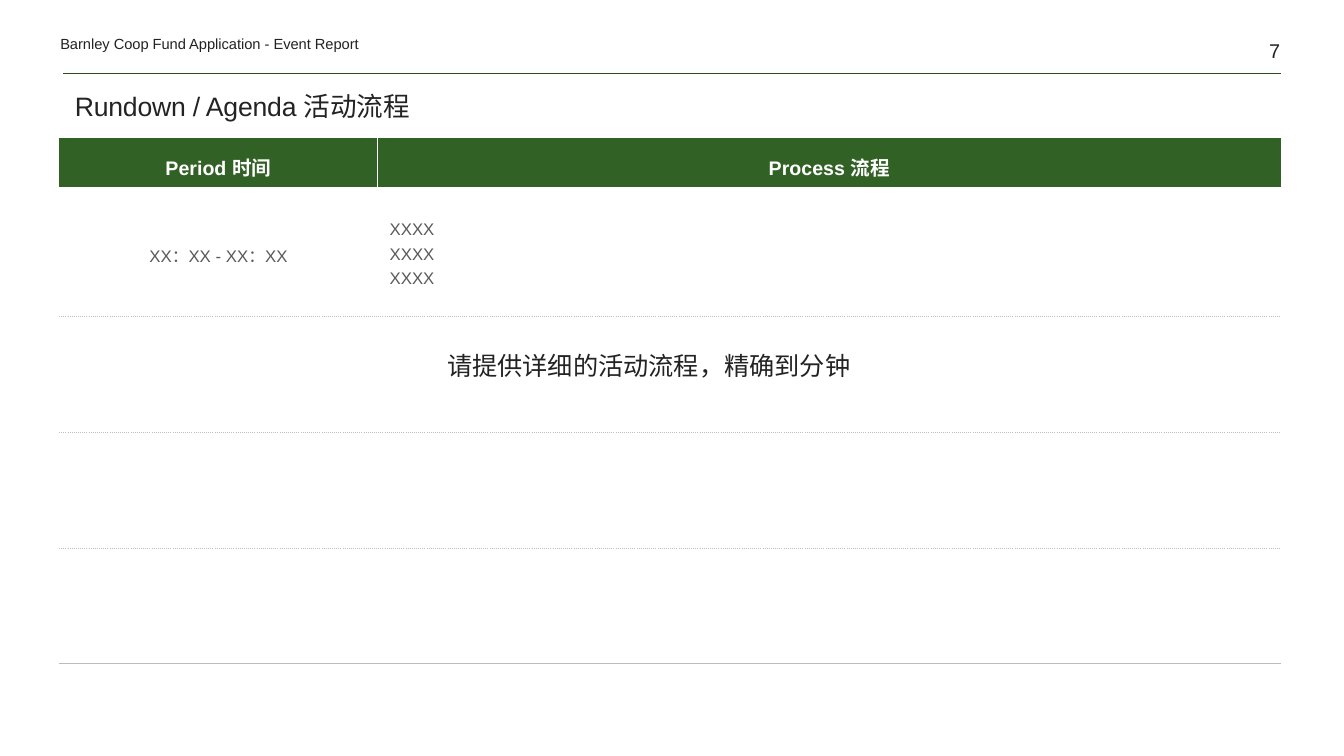
from lxml import etree
from pptx import Presentation
from pptx.dml.color import RGBColor
from pptx.enum.shapes import MSO_CONNECTOR
from pptx.enum.text import MSO_ANCHOR, MSO_AUTO_SIZE, PP_ALIGN
from pptx.oxml.ns import qn
from pptx.util import Cm, Pt

LEFT, CENTER, RIGHT = PP_ALIGN.LEFT, PP_ALIGN.CENTER, PP_ALIGN.RIGHT
MIDDLE, BOTTOM, TOP = MSO_ANCHOR.MIDDLE, MSO_ANCHOR.BOTTOM, MSO_ANCHOR.TOP

REPORT = "Barnley Coop Fund Application - Event Report"
PAGE = "7"
TITLE = "Rundown / Agenda 活动流程"
HINT = "请提供详细的活动流程，精确到分钟"
HEADER = ("Period 时间", "Process 流程")
AGENDA = [
    ("XX：XX - XX：XX", "XXXX\nXXXX\nXXXX"),
    ("", ""),
    ("", ""),
    ("", ""),
]
COLORS = {"text": "232323", "body": "5A5A5A", "green": "326125", "rule": "284E1E",
          "dots": "BFBFBF", "end": "BBBCBC", "white": "FFFFFF"}
FONT = "Arial"
COL_WIDTHS = (8.03, 22.76)
ROW_HEIGHTS = (1.22, 3.25, 2.92, 2.92, 2.92)
NO_STYLE = "{2D5ABB26-0587-4C30-8999-92F81FD0307C}"


def rgb(name):
    return RGBColor.from_string(COLORS[name])


def style(p, size, color="text", align=LEFT, bold=False, spacing=None):
    p.alignment = align
    if spacing:
        p.line_spacing = spacing
    f = p.font
    f.name, f.size, f.bold = FONT, Pt(size), bold
    f.color.rgb = rgb(color)


def add_text(text, box, size, align=LEFT, anchor=BOTTOM, wrap=True, inset=(0, 0)):
    tf = s.shapes.add_textbox(*map(Cm, box)).text_frame
    tf.word_wrap, tf.vertical_anchor = wrap, anchor
    tf.margin_left = tf.margin_right = Cm(inset[0])
    tf.margin_top = tf.margin_bottom = Cm(inset[1])
    tf.text = text
    style(tf.paragraphs[0], size, align=align)
    return tf


def add_border(cell, side, color, width, dash="solid"):
    ln = etree.SubElement(cell._tc.get_or_add_tcPr(), qn("a:ln" + side), w=str(Pt(width)))
    fill = etree.SubElement(ln, qn("a:solidFill"))
    etree.SubElement(fill, qn("a:srgbClr"), val=COLORS[color])
    etree.SubElement(ln, qn("a:prstDash"), val=dash)


prs = Presentation()
prs.slide_width, prs.slide_height = Cm(33.87), Cm(19.05)
s = prs.slides.add_slide(prs.slide_layouts[5])

rule = s.shapes.add_connector(MSO_CONNECTOR.STRAIGHT, Cm(1.59), Cm(1.85), Cm(32.28), Cm(1.85))
rule.line.color.rgb = rgb("rule")
rule.line.width = Pt(0.5)
etree.SubElement(rule._element.spPr, qn("a:effectLst"))

title = s.shapes.title
title.left, title.top, title.width, title.height = map(Cm, (1.63, 1.88, 30.66, 1.32))
tf = title.text_frame
tf.text = TITLE
tf.auto_size, tf.vertical_anchor = MSO_AUTO_SIZE.NONE, BOTTOM
style(tf.paragraphs[0], 19, spacing=0.85)
tf.paragraphs[0].runs[0].font._element.set("spc", "-10")

rows = [HEADER] + AGENDA
frame = s.shapes.add_table(len(rows), len(HEADER), Cm(1.49), Cm(3.48),
                           Cm(sum(COL_WIDTHS)), Cm(sum(ROW_HEIGHTS)))
table = frame.table
table._tbl.tblPr.find(qn("a:tableStyleId")).text = NO_STYLE
for column, width in zip(table.columns, COL_WIDTHS):
    column.width = Cm(width)
for i, (row, height) in enumerate(zip(rows, ROW_HEIGHTS)):
    table.rows[i].height = Cm(height)
    for j, text in enumerate(row):
        cell = table.cell(i, j)
        cell.vertical_anchor = MIDDLE
        cell.margin_left = cell.margin_right = Cm(0.3)
        cell.margin_top = cell.margin_bottom = Cm(0.3 if i else 0.15)
        cell.text = text
        for p in cell.text_frame.paragraphs:
            if i == 0:
                style(p, 14, "white", CENTER, True, 1.3)
            else:
                style(p, 12, "body", LEFT if j else CENTER, spacing=1.3)
        if i == 0:
            add_border(cell, "L" if j else "R", "white", 1)
            cell.fill.solid()
            cell.fill.fore_color.rgb = rgb("green")
            continue
        if i > 1:
            add_border(cell, "T", "dots", 0.25, "sysDot")
        if i == len(rows) - 1:
            add_border(cell, "B", "end", 0.5)
        else:
            add_border(cell, "B", "dots", 0.25, "sysDot")
        cell.fill.background()

add_text(PAGE, (30.15, 0, 2.11, 1.57), 14.2, RIGHT)
hint = add_text(HINT, (11.02, 8.69, 10.77, 1.02), 18, anchor=TOP, wrap=False, inset=(0.25, 0.13))
hint.auto_size = MSO_AUTO_SIZE.SHAPE_TO_FIT_TEXT
add_text(REPORT, (1.52, 0.74, 10.59, 0.58), 10.5)

prs.save("out.pptx")
